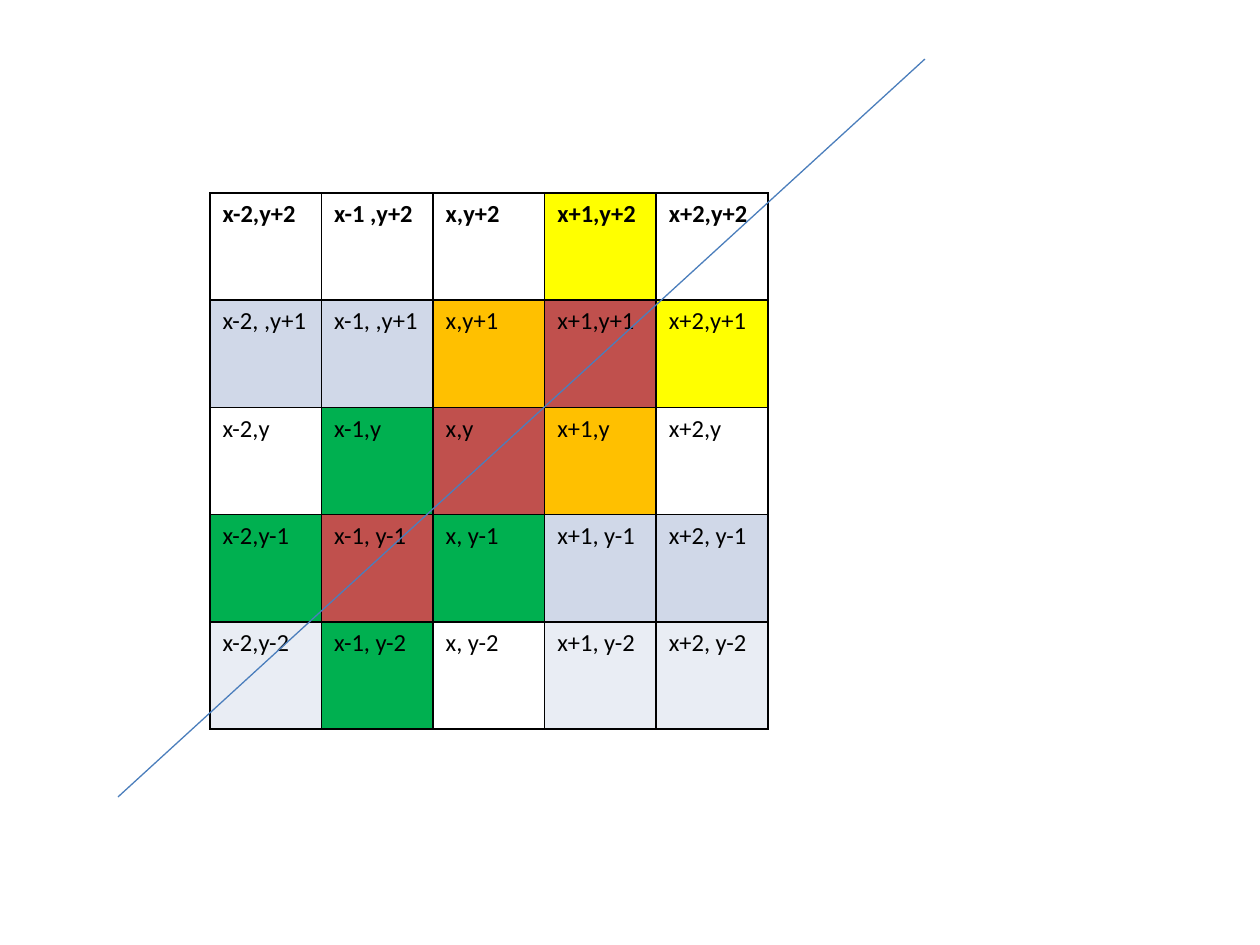
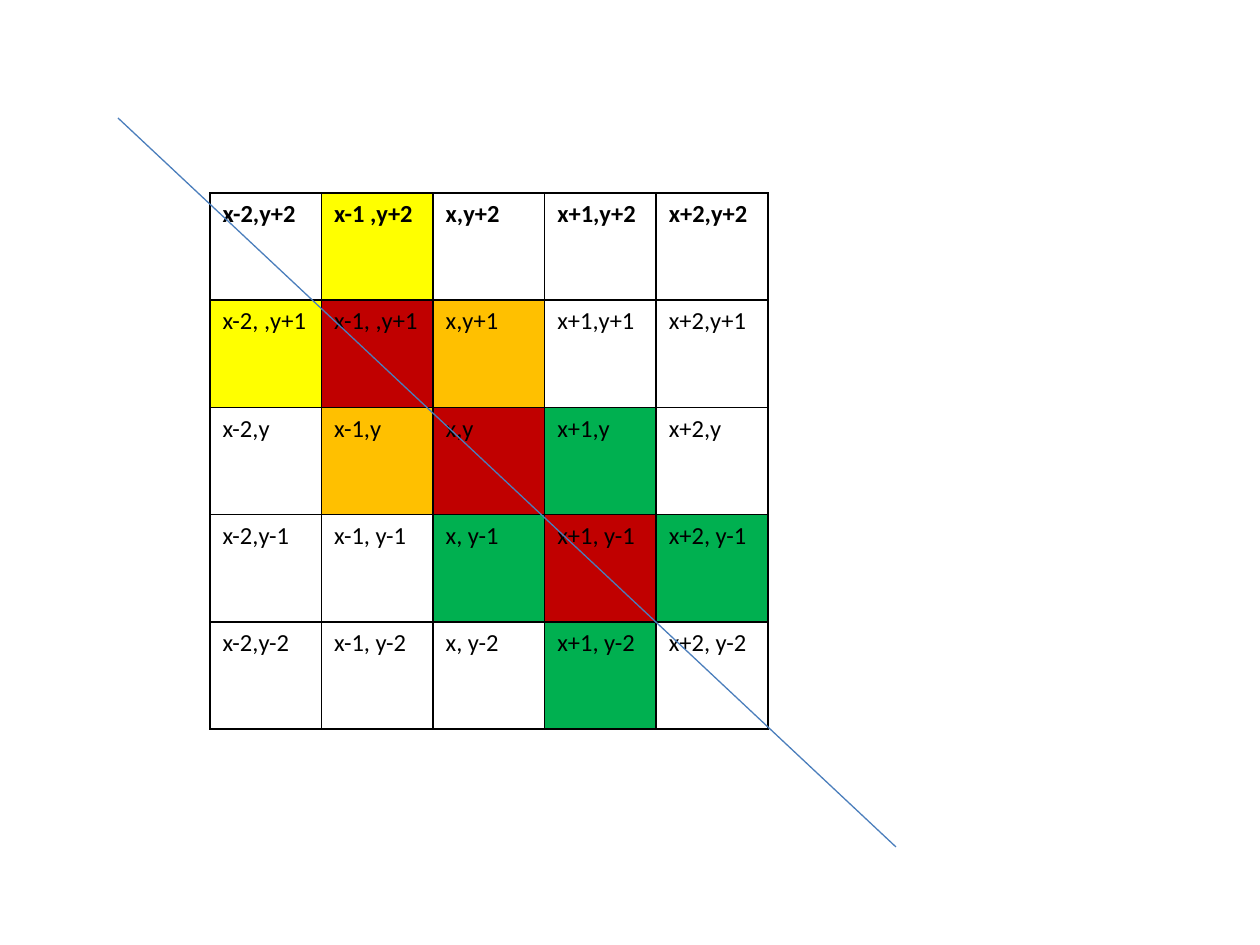
import pptx
import pptx.util
import pptx.dml.color
import pptx.enum.shapes
import pptx.oxml
import pptx.oxml.ns

RGB = pptx.dml.color.RGBColor
BLACK = RGB(0x00, 0x00, 0x00)
BLUE = RGB(0x4B, 0x7E, 0xBC)
YELLOW = RGB(0xFF, 0xFF, 0x00)
ORANGE = RGB(0xFF, 0xC0, 0x00)
GREEN = RGB(0x00, 0xB0, 0x50)
BRICK = RGB(0xC0, 0x50, 0x4D)
RED = RGB(0xC0, 0x00, 0x00)
MIST = RGB(0xD0, 0xD8, 0xE8)
PALE = RGB(0xE9, 0xED, 0xF4)

# Content: pixel labels shared by both slides
LABELS = [
    ["x-2,y+2", "x-1 ,y+2", "x,y+2", "x+1,y+2", "x+2,y+2"],
    ["x-2, ,y+1", "x-1, ,y+1", "x,y+1", "x+1,y+1", "x+2,y+1"],
    ["x-2,y", "x-1,y", "x,y", "x+1,y", "x+2,y"],
    ["x-2,y-1", "x-1, y-1", "x, y-1", "x+1, y-1", "x+2, y-1"],
    ["x-2,y-2", "x-1, y-2", "x, y-2", "x+1, y-2", "x+2, y-2"],
]

# One letter per cell; a dot leaves the cell clear
FILLS = {"Y": YELLOW, "O": ORANGE, "G": GREEN, "B": BRICK,
         "R": RED, "M": MIST, "P": PALE}
SLIDES = [
    {"fills": ["...Y.", "MMOBY", ".GBO.", "GBGMM", "PG.PP"],
     "line": (118, 797, 925, 59)},
    {"fills": [".Y...", "YRO..", ".ORG.", "..GRG", "...G."],
     "line": (118, 118, 896, 847)},
]

# Layout in px
WIDE, HIGH = 1260, 945
GRID = (210, 193, 558, 536)
FONT = "Calibri"


def px(n):
    return pptx.util.Emu(round(n * 914400 / 126))


def edge(cell):
    """Draw a 1 pt black border on all four sides."""
    props = cell._tc.get_or_add_tcPr()
    for i, side in enumerate(("lnL", "lnR", "lnT", "lnB")):
        props.insert(i, pptx.oxml.parse_xml(
            f'<a:{side} {pptx.oxml.ns.nsdecls("a")} w="12700"><a:solidFill>'
            f'<a:srgbClr val="{BLACK}"/></a:solidFill></a:{side}>'))


def add_grid(slide, fills):
    size = len(LABELS)
    table = slide.shapes.add_table(size, size, *map(px, GRID)).table
    for col in table.columns:
        col.width = px(GRID[2] / size)
    for row in table.rows:
        row.height = px(GRID[3] / size)
    for r, texts in enumerate(LABELS):
        for c, text in enumerate(texts):
            cell = table.cell(r, c)
            cell.text_frame.text = text
            font = cell.text_frame.paragraphs[0].runs[0].font
            font.name, font.size = FONT, pptx.util.Pt(14)
            font.bold = r == 0
            font.color.rgb = BLACK
            key = fills[r][c]
            if key in FILLS:
                cell.fill.solid()
                cell.fill.fore_color.rgb = FILLS[key]
            else:
                cell.fill.background()
            edge(cell)


def add_line(slide, ends):
    kind = pptx.enum.shapes.MSO_CONNECTOR.STRAIGHT
    line = slide.shapes.add_connector(kind, *map(px, ends))
    line.line.color.rgb = BLUE
    line.line.width = pptx.util.Pt(0.75)
    line._element.spPr.append(pptx.oxml.parse_xml(
        f'<a:effectLst {pptx.oxml.ns.nsdecls("a")}/>'))


def main():
    deck = pptx.Presentation()
    deck.slide_width, deck.slide_height = px(WIDE), px(HIGH)
    for item in SLIDES:
        slide = deck.slides.add_slide(deck.slide_layouts[6])
        add_grid(slide, item["fills"])
        add_line(slide, item["line"])
    deck.save("out.pptx")


if __name__ == "__main__":
    main()
